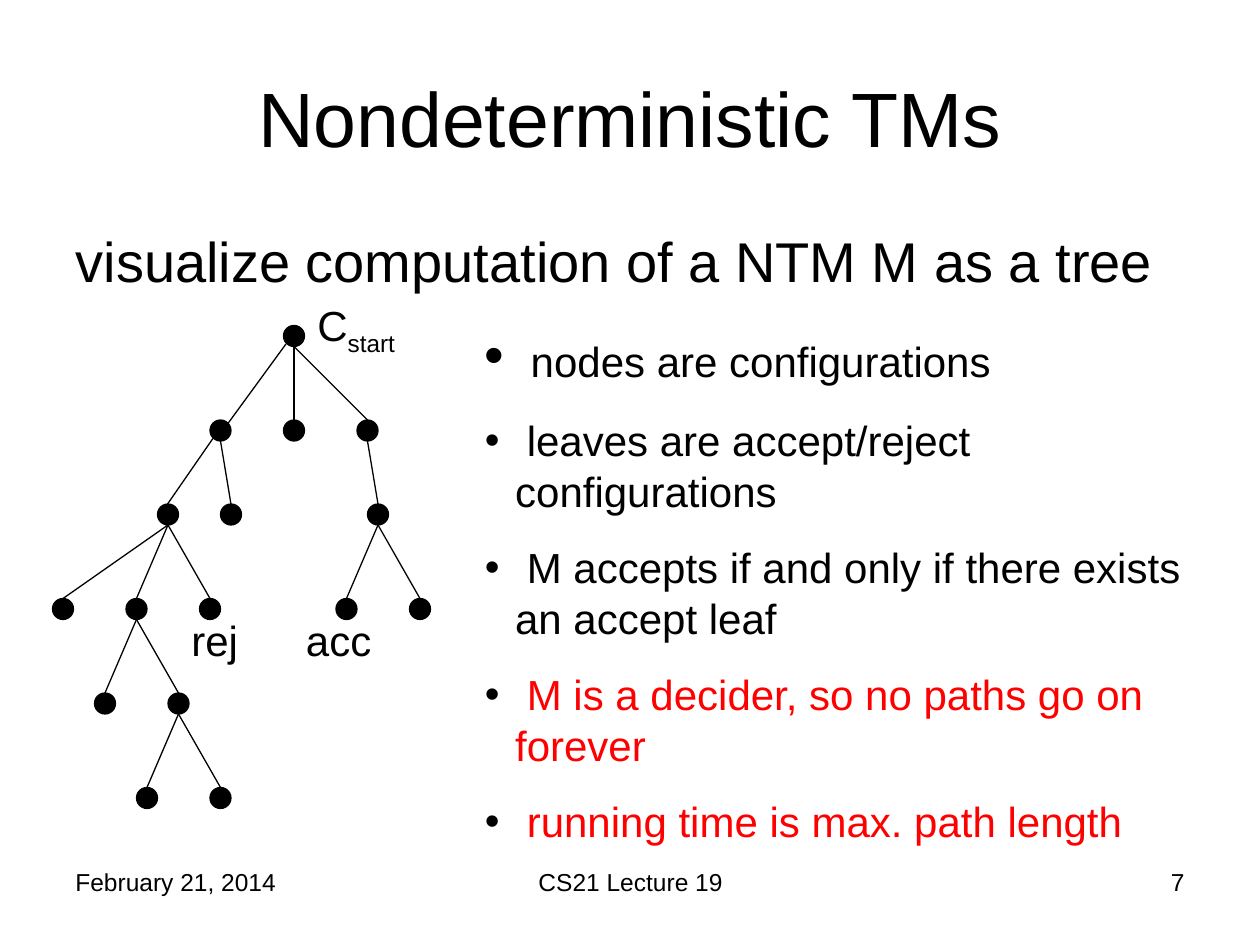
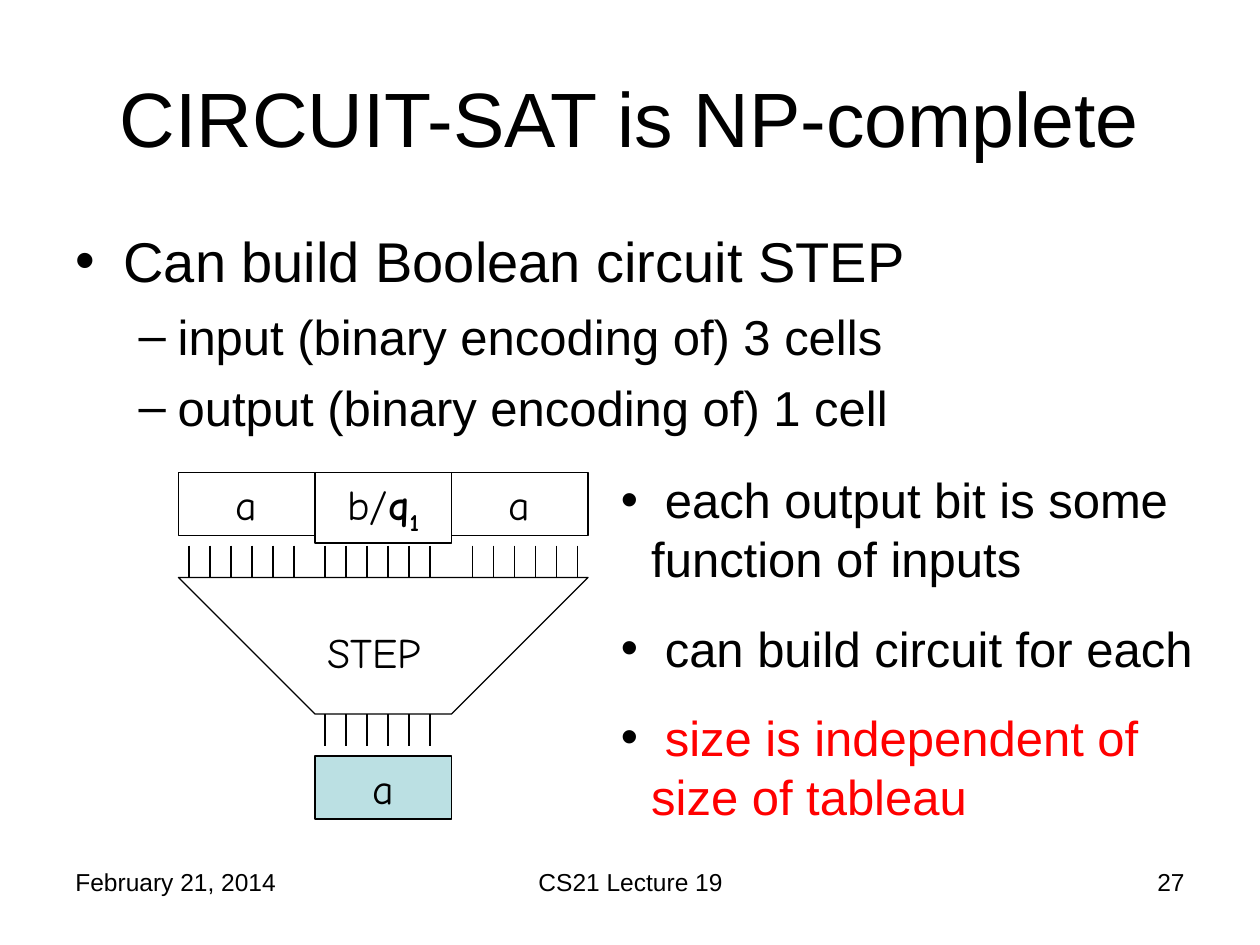
from lxml import etree
from pptx import Presentation
from pptx import util as u
from pptx.dml import color
from pptx.enum import shapes, text
from pptx.oxml import ns

HUES = {"ink": "000000", "red": "FF0000", "cell": "BBE0E3"}
SANS = "Arial"
HAND = "Comic Neue"
LEFT, MID, RIGHT = text.PP_ALIGN.LEFT, text.PP_ALIGN.CENTER, text.PP_ALIGN.RIGHT

TREE_TOPS = [31, 40, 48, 57, 66, 75]
TREE = (27, [
    (20, [
        (15, [
            (5, []),
            (12, [(9, []), (16, [(13, []), (20, [])])]),
            (19, []),
        ]),
        (21, []),
    ]),
    (27, []),
    (34, [(35, [(32, []), (39, [])])]),
])
SLANTED = {
    (27, 20): (2.27, 2.73, 1.81, 3.36),
    (20, 15): (1.69, 3.48, 1.33, 4),
}


def hue(name):
    return color.RGBColor.from_string(HUES[name])


def style(run, size, face=SANS, ink="ink", bold=False, sub=False):
    font = run.font
    font.size = u.Pt(size)
    font.name = face
    font.bold = bold
    font.color.rgb = hue(ink)
    if sub:
        run._r.get_or_add_rPr().set("baseline", "-25000")


def fill_line(para, parts, size, face=SANS):
    if isinstance(parts, str):
        parts = [(parts, {})]
    para.text = parts[0][0]
    for words, _ in parts[1:]:
        para.add_run().text = words
    for run, (_, look) in zip(para.runs, parts):
        style(run, **{"size": size, "face": face, **look})


def set_bullet(para, mark, left, hang):
    props = para._p.get_or_add_pPr()
    props.set("marL", str(u.Inches(left)))
    props.set("indent", str(-u.Inches(hang)))
    if not mark:
        etree.SubElement(props, ns.qn("a:buNone"))
        return
    tint = etree.SubElement(props, ns.qn("a:buClr"))
    etree.SubElement(tint, ns.qn("a:srgbClr")).set("val", HUES["ink"])
    etree.SubElement(props, ns.qn("a:buFont")).set("typeface", SANS)
    etree.SubElement(props, ns.qn("a:buChar")).set("char", mark)


def next_para(frame, index):
    return frame.add_paragraph() if index else frame.paragraphs[0]


def place(shape, left, top, width, height):
    shape.left, shape.top = u.Inches(left), u.Inches(top)
    shape.width, shape.height = u.Inches(width), u.Inches(height)


def add_label(slide, box, parts, size, align=LEFT, face=SANS):
    frame = slide.shapes.add_textbox(*map(u.Inches, box)).text_frame
    frame.word_wrap = True
    para = frame.paragraphs[0]
    para.alignment = align
    fill_line(para, parts, size, face)


def add_points(slide, box, points, size, gap):
    frame = slide.shapes.add_textbox(*map(u.Inches, box)).text_frame
    frame.word_wrap = True
    for i, parts in enumerate(points):
        para = next_para(frame, i)
        set_bullet(para, "•", 0.24, 0.24)
        para.space_before = u.Pt(gap if i else 0)
        fill_line(para, parts, size)


def fill_body(slide, height, items):
    body = slide.placeholders[1]
    place(body, 0.5, 1.75, 9, height)
    frame = body.text_frame
    frame.auto_size = text.MSO_AUTO_SIZE.NONE
    for i, (words, level, mark) in enumerate(items):
        para = next_para(frame, i)
        para.level = level
        left, hang, size, gap = [(0.38, 0.38, 32, 8), (0.81, 0.31, 28, 7)][level]
        set_bullet(para, mark, left, hang)
        para.space_before = u.Pt(gap if i else 0)
        fill_line(para, words, size)


def start_slide(deck, title, number):
    slide = deck.slides.add_slide(deck.slide_layouts[1])
    head = slide.shapes.title
    place(head, 0.5, 0.3, 9, 1.25)
    head.text_frame.auto_size = text.MSO_AUTO_SIZE.NONE
    head.text_frame.vertical_anchor = text.MSO_ANCHOR.MIDDLE
    head.text_frame.paragraphs[0].alignment = MID
    fill_line(head.text_frame.paragraphs[0], title, 44)
    for left, width, words, align in [
        (0.5, 2.33, "February 21, 2014", LEFT),
        (3.42, 3.17, "CS21 Lecture 19", MID),
        (7.17, 2.33, str(number), RIGHT),
    ]:
        add_label(slide, (left, 6.83, width, 0.52), words, 14, align)
    return slide


def paint(shape, fill=None):
    shape.shadow.inherit = False
    shape.line.color.rgb = hue("ink")
    shape.line.width = u.Pt(0.75)
    if fill:
        shape.fill.solid()
        shape.fill.fore_color.rgb = hue(fill)
    else:
        shape.fill.background()


def add_line(slide, x1, y1, x2, y2):
    ends = map(u.Inches, (x1, y1, x2, y2))
    line = slide.shapes.add_connector(shapes.MSO_CONNECTOR.STRAIGHT, *ends)
    line.line.color.rgb = hue("ink")
    line.line.width = u.Pt(0.75)
    etree.SubElement(line._element.spPr, ns.qn("a:effectLst"))


def add_tree(slide, node, depth=0):
    left, kids = node
    top = TREE_TOPS[depth]
    box = [u.Inches(n / 12) for n in (left, top, 2, 2)]
    paint(slide.shapes.add_shape(shapes.MSO_SHAPE.OVAL, *box), "ink")
    for kid in kids:
        ends = [n / 12 for n in (left + 1, top + 2, kid[0] + 1, TREE_TOPS[depth + 1])]
        add_line(slide, *SLANTED.get((left, kid[0]), ends))
        add_tree(slide, kid, depth + 1)


def add_cell(slide, column, top, parts, height=0.5, fill=None):
    box = map(u.Inches, ((17 + 13 * column) / 12, top, 13 / 12, height))
    cell = slide.shapes.add_shape(shapes.MSO_SHAPE.RECTANGLE, *box)
    paint(cell, fill)
    frame = cell.text_frame
    frame.word_wrap = True
    frame.vertical_anchor = text.MSO_ANCHOR.TOP
    frame.paragraphs[0].alignment = MID
    fill_line(frame.paragraphs[0], parts, 24, HAND)


def add_wires(slide, left, top):
    for i in range(6):
        x = left + i / 6
        add_line(slide, x, top, x, top + 0.25)


def add_funnel(slide):
    pen = slide.shapes.build_freeform(17, 55, scale=u.Inches(1) / 12)
    pen.add_line_segments([(30, 68), (43, 68), (56, 55)], close=True)
    paint(pen.convert_to_shape())


def tree_slide(deck):
    slide = start_slide(deck, "Nondeterministic TMs", 7)
    fill_body(slide, 0.67, [("visualize computation of a NTM M as a tree", 0, None)])
    add_tree(slide, TREE)
    add_label(slide, (2.42, 2.33, 1.25, 0.56), [("C", {}), ("start", {"sub": True})], 24)
    add_label(slide, (2.33, 4.83, 1.25, 0.5), "acc", 24)
    add_label(slide, (1.42, 4.83, 1.25, 0.5), "rej", 24)
    add_points(slide, (3.75, 2.5, 5.75, 4.27), [
        [(" ", {"size": 32}), ("nodes are configurations", {})],
        " leaves are accept/reject configurations",
        " M accepts if and only if there exists an accept leaf",
        [(" ", {}), ("M is a decider, so no paths go on forever", {"ink": "red"})],
        [(" ", {}), ("running time is max. path length", {"ink": "red"})],
    ], 24, 15)


def circuit_slide(deck):
    slide = start_slide(deck, "CIRCUIT-SAT is NP-complete", 27)
    fill_body(slide, 4.95, [
        ("Can build Boolean circuit STEP", 0, "•"),
        ("input (binary encoding of) 3 cells", 1, "–"),
        ("output (binary encoding of) 1 cell", 1, "–"),
    ])
    add_cell(slide, 0, 3.75, "a")
    state = [("b/", {}), ("q", {"bold": True}), ("1", {"bold": True, "sub": True})]
    add_cell(slide, 1, 3.75, state, height=0.56)
    add_cell(slide, 2, 3.75, "a")
    add_cell(slide, 1, 6, "a", fill="cell")
    add_funnel(slide)
    for left, top in [(1.5, 4.33), (2.58, 4.33), (3.75, 4.33), (2.58, 5.67)]:
        add_wires(slide, left, top)
    add_label(slide, (2.5, 4.92, 1.33, 0.5), "STEP", 24, face=HAND)
    add_points(slide, (4.83, 3.68, 4.92, 2.92), [
        " each output bit is some function of inputs",
        " can build circuit for each",
        [(" ", {}), ("size is independent of size of tableau", {"ink": "red"})],
    ], 28, 17.5)


def main():
    deck = Presentation()
    deck.slide_width, deck.slide_height = u.Inches(10), u.Inches(7.5)
    tree_slide(deck)
    circuit_slide(deck)
    deck.save("out.pptx")


if __name__ == "__main__":
    main()
